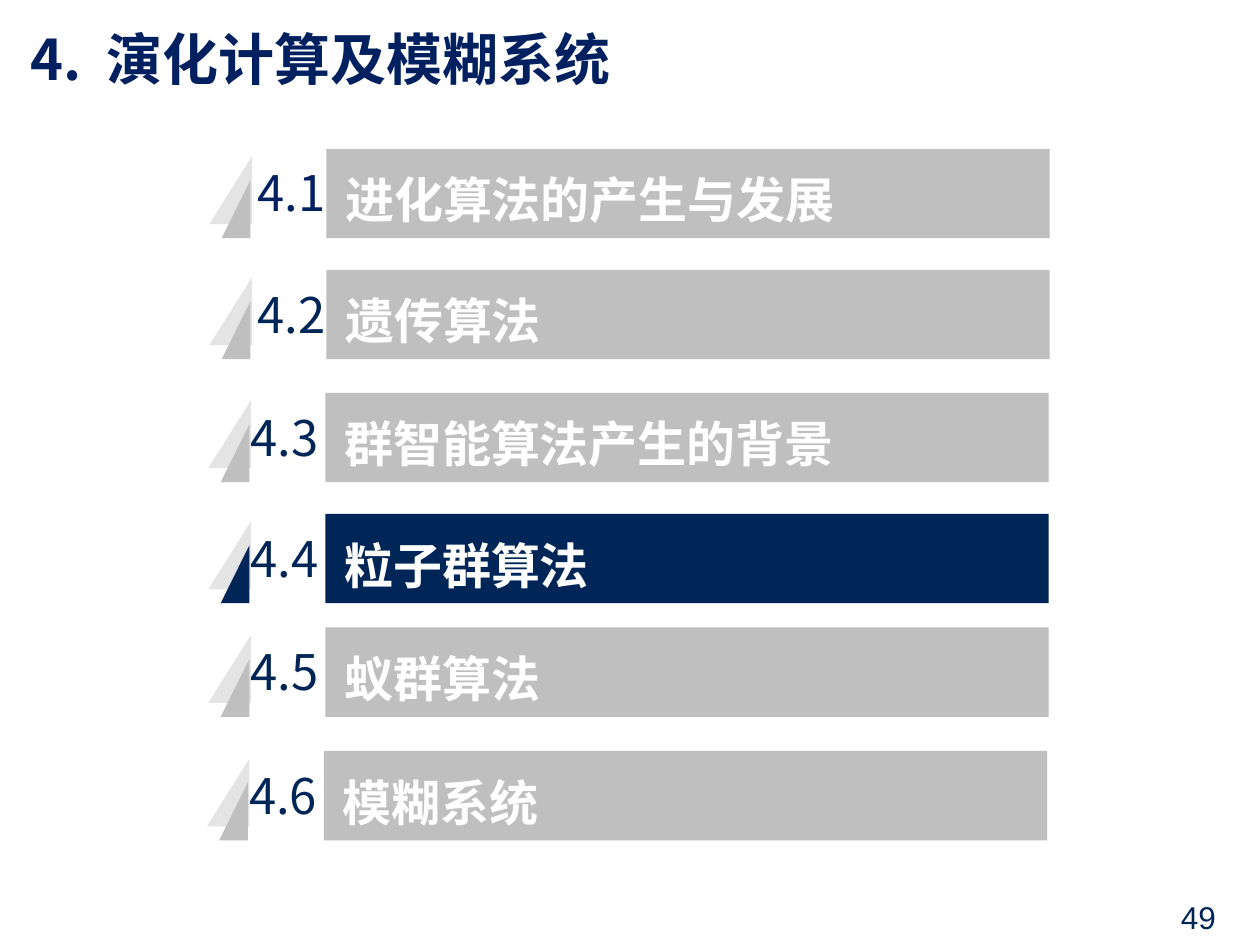
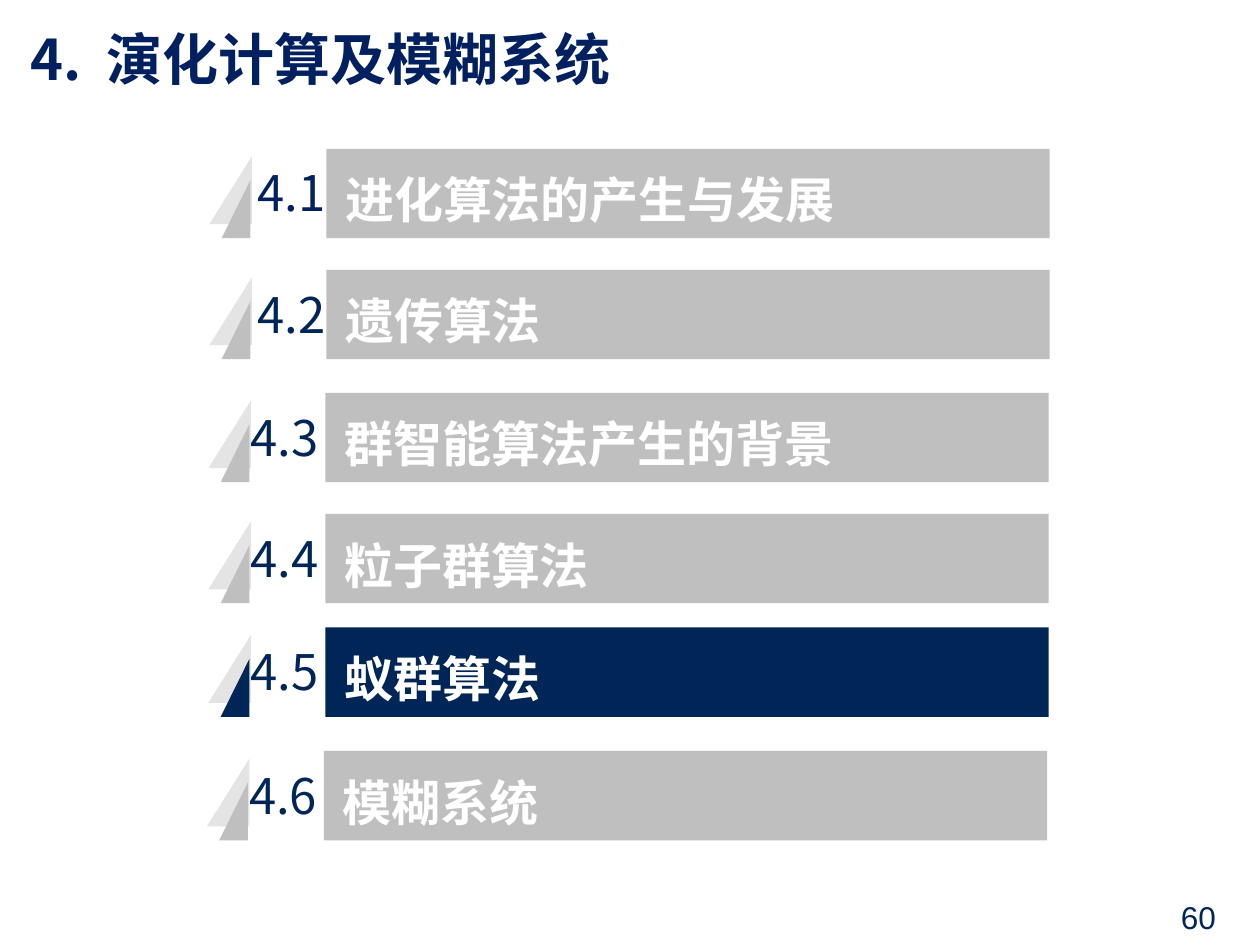
from dataclasses import dataclass

from lxml.etree import SubElement
from pptx import Presentation
from pptx.dml.color import RGBColor
from pptx.enum.text import MSO_ANCHOR as Anchor, PP_ALIGN as Align
from pptx.oxml.ns import qn
from pptx.util import Cm, Pt


@dataclass(frozen=True)
class Theme:
    title_blue: str = "002060"
    navy: str = "002657"
    inactive: str = "BFBFBF"
    shade: str = "E4E4E4"
    white: str = "FFFFFF"
    cjk_font: str = "Noto Sans CJK SC"
    page_font: str = "Arial"
    title_size: int = 32
    entry_size: int = 28
    page_size: int = 18


@dataclass(frozen=True)
class Section:
    number: str
    name: str
    left: float
    top: float
    number_offset: float
    number_color: str


THEME = Theme()
SECTIONS = [
    Section("4.1", "进化算法的产生与发展", 4.47, 3.0, 0.58, THEME.title_blue),
    Section("4.2", "遗传算法", 4.47, 5.44, 0.58, THEME.navy),
    Section("4.3", "群智能算法产生的背景", 4.45, 7.92, 0.46, THEME.navy),
    Section("4.4", "粒子群算法", 4.45, 10.36, 0.46, THEME.navy),
    Section("4.5", "蚁群算法", 4.45, 12.65, 0.46, THEME.navy),
    Section("4.6", "模糊系统", 4.42, 15.14, 0.46, THEME.navy),
]
AGENDAS = [("4.4", "49"), ("4.5", "60")]

ROW_WIDTH, ROW_HEIGHT = 16.69, 1.8
BAR_OFFSET = 2.11
WEDGE_WIDTH, WEDGE_TOP = 0.58, 0.63
SHADE_X, SHADE_Y, SHADE_WIDTH, SHADE_HEIGHT = -0.25, 0.15, 0.86, 1.37


def wedge(left, top, width, height):
    """Corners of a right triangle with its upright side on the right."""
    return [(left + width, top), (left + width, top + height), (left, top + height)]


class AgendaDeck:
    def __init__(self, theme):
        self.theme = theme
        self.presentation = Presentation()
        self.presentation.slide_width = Cm(25.4)
        self.presentation.slide_height = Cm(19.05)
        self.slide = None

    def new_slide(self):
        blank = self.presentation.slide_layouts[6]
        self.slide = self.presentation.slides.add_slide(blank)

    def style(self, paragraph, size, color, font_name, bold=False, align=Align.LEFT):
        paragraph.alignment = align
        font = paragraph.font
        font.size, font.bold, font.name = Pt(size), bold, font_name
        font.color.rgb = RGBColor.from_string(color)
        SubElement(font._rPr, qn("a:ea"), typeface=font_name)

    def textbox(self, left, top, width, height, inset=None):
        frame = self.slide.shapes.add_textbox(
            Cm(left), Cm(top), Cm(width), Cm(height)).text_frame
        frame.word_wrap = True
        frame.vertical_anchor = Anchor.MIDDLE
        if inset is not None:
            self.set_insets(frame, inset)
        return frame

    def set_insets(self, frame, left):
        frame.margin_left = Cm(left)
        frame.margin_top = frame.margin_right = frame.margin_bottom = 0

    def title(self, number, heading):
        paragraph = self.textbox(0.36, 0.38, 24, 1.57).paragraphs[0]
        paragraph.add_run().text = number
        gap = paragraph.add_run()
        gap.text = " "
        gap._r.get_or_add_rPr().set("spc", "700")
        paragraph.add_run().text = heading
        self.style(paragraph, self.theme.title_size, self.theme.title_blue,
                   self.theme.cjk_font, bold=True)

    def page_number(self, number):
        paragraph = self.textbox(19.25, 17.98, 5.51, 0.99).paragraphs[0]
        paragraph.text = number
        self.style(paragraph, self.theme.page_size, self.theme.navy,
                   self.theme.page_font, align=Align.RIGHT)

    def outline(self, contours, color):
        """Draw closed contours, given in centimetres, as one filled shape."""
        contours = [[(Cm(x), Cm(y)) for x, y in points] for points in contours]
        builder = self.slide.shapes.build_freeform(*contours[0][0])
        for points in contours:
            builder.move_to(*points[0])
            builder.add_line_segments(points[1:], close=True)
        shape = builder.convert_to_shape()
        shape.shadow.inherit = False
        shape.fill.solid()
        shape.fill.fore_color.rgb = RGBColor.from_string(color)
        shape.line.fill.background()
        return shape

    def entry_text(self, frame, text, color, **options):
        paragraph = frame.paragraphs[0]
        paragraph.text = text
        paragraph.line_spacing = 1.2
        self.style(paragraph, self.theme.entry_size, color, self.theme.cjk_font, **options)

    def section(self, section, active):
        left, top = section.left, section.top
        right, bottom = left + ROW_WIDTH, top + ROW_HEIGHT
        bar_left = left + BAR_OFFSET
        self.outline([wedge(left + SHADE_X, top + SHADE_Y, SHADE_WIDTH, SHADE_HEIGHT)],
                     self.theme.shade)
        bar = self.outline(
            [wedge(left, top + WEDGE_TOP, WEDGE_WIDTH, ROW_HEIGHT - WEDGE_TOP),
             [(bar_left, top), (right, top), (right, bottom), (bar_left, bottom)]],
            self.theme.navy if active else self.theme.inactive)
        frame = bar.text_frame
        frame.word_wrap = True
        frame.vertical_anchor = Anchor.MIDDLE
        self.set_insets(frame, 2.49)
        self.entry_text(frame, section.name, self.theme.white, bold=True)
        label = self.textbox(left + section.number_offset, top, 1.65, 1.52, inset=0)
        self.entry_text(label, section.number, section.number_color, align=Align.CENTER)


def main():
    deck = AgendaDeck(THEME)
    for active_number, page in AGENDAS:
        deck.new_slide()
        deck.title("4.", "演化计算及模糊系统")
        deck.page_number(page)
        for section in SECTIONS:
            deck.section(section, section.number == active_number)
    deck.presentation.save("out.pptx")


if __name__ == "__main__":
    main()
